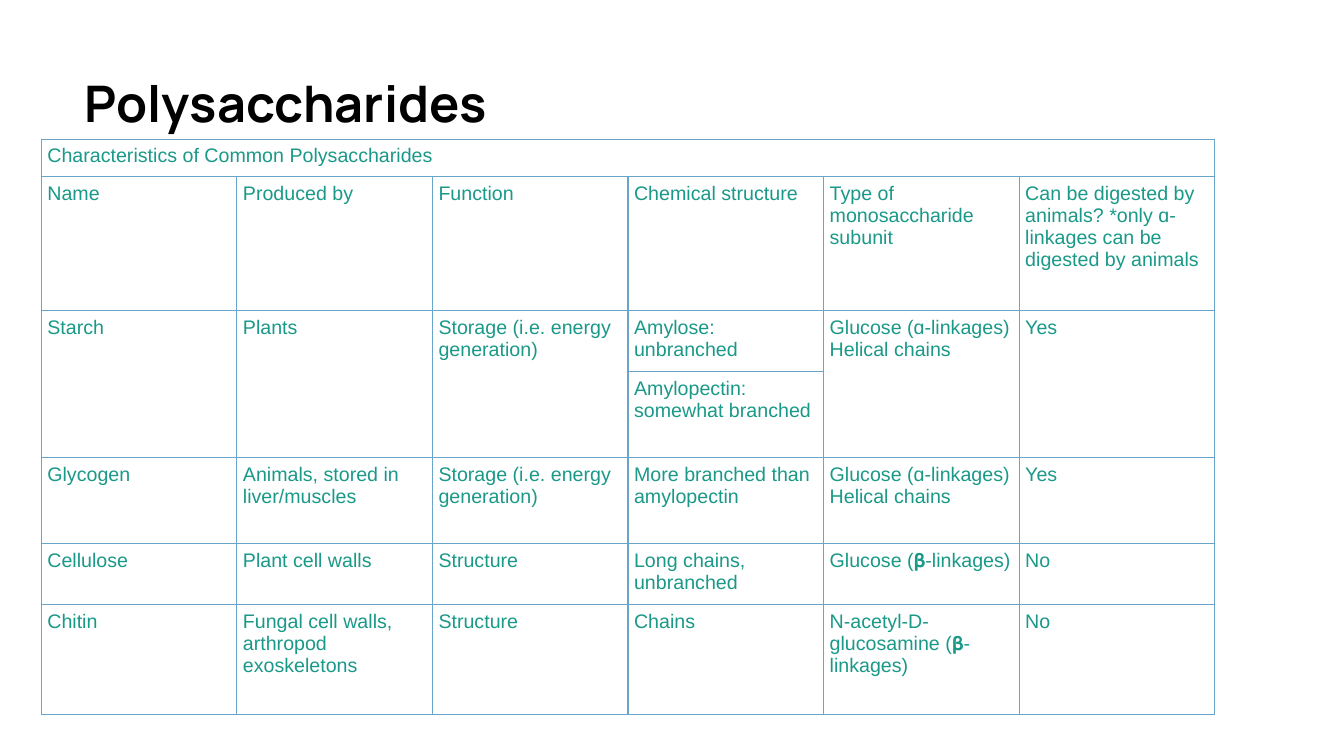
import pptx
import pptx.dml.color
import pptx.enum.text
import pptx.oxml
import pptx.oxml.ns
import pptx.util

EMU_PER_PX = 9144  # 100 px to the inch

CAPTION = "Characteristics of Common Polysaccharides"
GLUCOSE_ALPHA = "Glucose (ɑ-linkages)\nHelical chains"
STORAGE = "Storage (i.e. energy generation)"
ROWS = [
    [CAPTION] + [None] * 5,
    ["Name", "Produced by", "Function", "Chemical structure",
     "Type of monosaccharide subunit",
     "Can be digested by animals? *only ɑ-linkages can be digested by animals"],
    ["Starch", "Plants", STORAGE, "Amylose: unbranched", GLUCOSE_ALPHA, "Yes"],
    [None, None, None, "Amylopectin: somewhat branched", None, None],
    ["Glycogen", "Animals, stored in liver/muscles", STORAGE,
     "More branched than amylopectin", GLUCOSE_ALPHA, "Yes"],
    ["Cellulose", "Plant cell walls", "Structure", "Long chains, unbranched",
     "Glucose (𝛃-linkages)", "No"],
    ["Chitin", "Fungal cell walls, arthropod exoskeletons", "Structure", "Chains",
     "N-acetyl-D-glucosamine (𝛃-linkages)", "No"],
]
ROW_HEIGHTS = [37, 133, 61, 85, 85, 61, 109]
COLUMN_WIDTH = 194
STARCH_ROW, STRUCTURE_COLUMN = 2, 3
MERGES = [((0, 0), (0, 5))] + [
    ((STARCH_ROW, column), (STARCH_ROW + 1, column))
    for column in range(6) if column != STRUCTURE_COLUMN
]


def px(length):
    return pptx.util.Emu(length * EMU_PER_PX)


def color(value):
    return pptx.dml.color.RGBColor.from_string(value)


def apply(target, values):
    for name, value in values.items():
        setattr(target, name, value)


class SlideBuilder:
    """Holds the text styles and the slide being built."""

    TITLE = {"name": "Manrope", "size": pptx.util.Pt(36), "bold": True}
    TITLE_COLOR = "000000"
    CELL = {"name": "Arial", "size": pptx.util.Pt(14), "bold": False}
    CELL_COLOR = "1A9988"
    BORDER_COLOR = "6AA4C8"
    BORDER_WIDTH = pptx.util.Pt(1)

    def __init__(self, presentation):
        self.slide = presentation.slides.add_slide(presentation.slide_layouts[5])

    def format_text(self, text_frame, font_values, font_color):
        for paragraph in text_frame.paragraphs:
            paragraph.alignment = pptx.enum.text.PP_ALIGN.LEFT
            for run in paragraph.runs:
                apply(run.font, font_values)
                run.font.color.rgb = color(font_color)

    def title(self, text, left, top, width, height):
        shape = self.slide.shapes.title
        apply(shape, {"left": px(left), "top": px(top),
                      "width": px(width), "height": px(height)})
        text_frame = shape.text_frame
        text_frame.text = text
        apply(text_frame, {
            "word_wrap": True,
            "auto_size": pptx.enum.text.MSO_AUTO_SIZE.NONE,
            "vertical_anchor": pptx.enum.text.MSO_ANCHOR.TOP,
            "margin_left": px(10), "margin_right": px(10),
            "margin_top": px(5), "margin_bottom": px(5),
        })
        self.format_text(text_frame, self.TITLE, self.TITLE_COLOR)

    def border(self, cell):
        properties = cell._tc.get_or_add_tcPr()
        for side in ("lnL", "lnR", "lnT", "lnB"):
            properties.append(pptx.oxml.parse_xml(
                f'<a:{side} {pptx.oxml.ns.nsdecls("a")} w="{self.BORDER_WIDTH}">'
                f'<a:solidFill><a:srgbClr val="{self.BORDER_COLOR}"/></a:solidFill>'
                f'</a:{side}>'))

    def cell(self, cell, text):
        self.border(cell)
        cell.fill.background()
        apply(cell, {
            "margin_left": px(6), "margin_right": px(6),
            "margin_top": px(6), "margin_bottom": px(6),
            "vertical_anchor": pptx.enum.text.MSO_ANCHOR.TOP,
        })
        if text:
            cell.text = text
            self.format_text(cell.text_frame, self.CELL, self.CELL_COLOR)

    def table(self, rows, left, top, column_width, row_heights, merges):
        column_count = len(rows[0])
        table = self.slide.shapes.add_table(
            len(rows), column_count, px(left), px(top),
            px(column_width * column_count), px(sum(row_heights))).table
        apply(table, {"first_row": False, "horz_banding": False})
        for column in table.columns:
            column.width = px(column_width)
        for row, height in zip(table.rows, row_heights):
            row.height = px(height)
        for row_index, texts in enumerate(rows):
            for column_index, text in enumerate(texts):
                self.cell(table.cell(row_index, column_index), text)
        for first, last in merges:
            table.cell(*first).merge(table.cell(*last))


def main():
    presentation = pptx.Presentation()
    apply(presentation, {"slide_width": px(1333), "slide_height": px(750)})
    builder = SlideBuilder(presentation)
    builder.title("Polysaccharides", 74, 67, 940, 144)
    builder.table(ROWS, 41, 138, COLUMN_WIDTH, ROW_HEIGHTS, MERGES)
    presentation.save("out.pptx")


if __name__ == "__main__":
    main()
